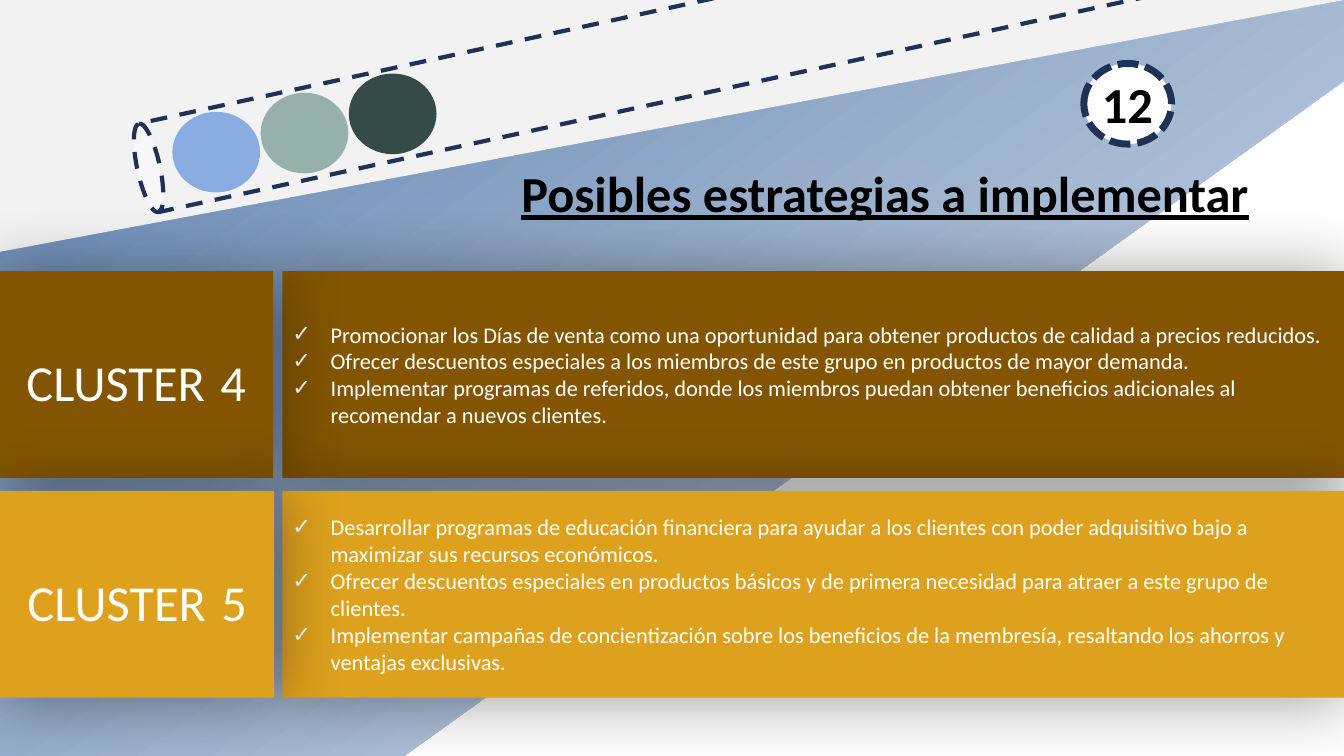
from dataclasses import dataclass

from lxml import etree
from pptx import Presentation
from pptx import util as u
from pptx.dml import color as col
from pptx.enum import dml, shapes, text
from pptx.oxml import ns

HUES = {
    "ink": "1E3256", "pale": "F2F2F2", "white": "FFFFFF", "black": "000000",
    "mist": "F6F8FC", "steel": "5479A9", "sky": "8AADE1", "sage": "96B1AB",
    "pine": "344B47", "brown": "835500", "gold": "DDA11D",
}
FORM = shapes.MSO_SHAPE
DASH = dml.MSO_LINE
LEFT, MID = text.PP_ALIGN.LEFT, text.PP_ALIGN.CENTER


@dataclass
class Box:
    x: float
    y: float
    w: float
    h: float
    turn: float = 0


@dataclass
class Group:
    num: str
    hue: str
    top: float
    edge: float  # left side of the label
    tips: list[str]


GROUPS = [
    Group("4", "brown", 2.69, -0.01, [
        "Promocionar los Días de venta como una oportunidad para obtener productos de calidad a precios reducidos.",
        "Ofrecer descuentos especiales a los miembros de este grupo en productos de mayor demanda.",
        "Implementar programas de referidos, donde los miembros puedan obtener beneficios adicionales "
        "al recomendar a nuevos clientes.",
    ]),
    Group("5", "gold", 4.87, 0, [
        "Desarrollar programas de educación financiera para ayudar a los clientes con poder adquisitivo "
        "bajo a maximizar sus recursos económicos.",
        "Ofrecer descuentos especiales en productos básicos y de primera necesidad para atraer a este "
        "grupo de clientes.",
        "Implementar campañas de concientización sobre los beneficios de la membresía, resaltando los "
        "ahorros y ventajas exclusivas.",
    ]),
]


def rgb(hue: str) -> col.RGBColor:
    return col.RGBColor.from_string(HUES[hue])


def sub(node, tag: str, **att: str):
    return etree.SubElement(node, ns.qn(tag), **att)


def place(item, box: Box) -> None:
    item.left, item.top = u.Inches(box.x), u.Inches(box.y)
    item.width, item.height = u.Inches(box.w), u.Inches(box.h)


def paint(item, hue: str) -> None:
    item.fill.solid()
    item.fill.fore_color.rgb = rgb(hue)


def draw(page, form, box: Box, hue: str, dash=None, wide: float = 0):
    item = page.shapes.add_shape(form, 0, 0, 0, 0)
    place(item, box)
    item.rotation = box.turn
    item.shadow.inherit = False
    paint(item, hue)
    if dash:
        item.line.color.rgb = rgb("ink")
        item.line.width = u.Pt(wide)
        item.line.dash_style = dash
    else:
        item.line.fill.background()
    return item


def blend(item, stops: list[tuple[int, str]]) -> None:
    item.fill.gradient()
    item.fill.gradient_angle = 90
    ramp = item.element.spPr.find(".//" + ns.qn("a:gsLst"))
    for old in list(ramp):
        ramp.remove(old)
    for spot, hue in stops:
        stop = sub(ramp, "a:gs", pos=str(spot * 1000))
        sub(stop, "a:srgbClr", val=HUES[hue])


def shade(item) -> None:
    item.shadow.inherit = False
    root = item.element.spPr.find(ns.qn("a:effectLst"))
    cast = sub(root, "a:outerShdw", blurRad=str(u.Pt(50)), dist=str(u.Pt(3)),
               dir="2700000", algn="tl", rotWithShape="0")
    tint = sub(cast, "a:srgbClr", val=HUES["black"])
    sub(tint, "a:alpha", val="40000")


def write(para, words: str, size: int = 36, hue: str = "white", bold: bool = False,
          line: bool = False, align=LEFT) -> None:
    para.alignment = align
    run = para.add_run()
    run.text = words
    font = run.font
    font.name, font.size = "Calibri", u.Pt(size)
    font.bold, font.underline = bold, line
    font.color.rgb = rgb(hue)


def frame(item, anchor=text.MSO_ANCHOR.MIDDLE, wrap: bool = True):
    body = item.text_frame
    body.word_wrap, body.vertical_anchor = wrap, anchor
    kind = text.MSO_AUTO_SIZE
    body.auto_size = kind.NONE if wrap else kind.SHAPE_TO_FIT_TEXT
    return body


def listing(item, group: Group) -> None:
    place(item, Box(2.8, group.top, 10.54, 2.05))
    paint(item, group.hue)
    shade(item)
    body = frame(item)
    for i, tip in enumerate(group.tips):
        para = body.add_paragraph() if i else body.paragraphs[0]
        para.space_before = u.Pt(0)
        write(para, tip, size=16)
        prop = para._p.get_or_add_pPr()
        prop.set("marL", str(u.Inches(0.38)))
        prop.set("indent", str(u.Inches(-0.38)))
        sub(prop, "a:buChar", char="✓")


def label(page, group: Group) -> None:
    item = draw(page, FORM.RECTANGLE, Box(group.edge, group.top, 2.72, 2.05), group.hue)
    shade(item)
    para = frame(item).paragraphs[0]
    write(para, "CLUSTER", align=MID)
    write(para, " ", size=48, bold=True, align=MID)
    write(para, group.num, align=MID)


def main() -> None:
    deck = Presentation()
    deck.slide_width, deck.slide_height = u.Inches(13.33), u.Inches(7.5)
    page = deck.slides.add_slide(deck.slide_layouts[3])
    title, *lists = page.placeholders
    tree = page.shapes.element

    # Backdrop
    wedge = draw(page, FORM.RIGHT_TRIANGLE, Box(-2.54, -2.54, 16.91, 7.77, 324.3), "steel")
    blend(wedge, [(0, "mist"), (74, "steel"), (83, "steel"), (100, "steel")])
    draw(page, FORM.OVAL, Box(10.75, 0.63, 0.87, 0.8), "white", DASH.SQUARE_DOT, 5)
    draw(page, FORM.RIGHT_TRIANGLE, Box(5.41, -5.42, 2.5, 13.34, 90), "pale")

    # Tube with three balls
    draw(page, FORM.CAN, Box(6.85, -5.68, 0.9, 12.15, 257.7), "pale", DASH.DASH, 3)
    for i, hue in enumerate(("sky", "sage", "pine")):
        draw(page, FORM.OVAL, Box(1.71 + 0.875 * i, 1.11 - 0.19 * i, 0.87, 0.8), hue)

    # Page number
    num = page.shapes.add_textbox(0, 0, 0, 0)
    place(num, Box(10.83, 0.68, 0.71, 0.71))
    body = frame(num, text.MSO_ANCHOR.TOP, wrap=False)
    write(body.paragraphs[0], "12", hue="black", bold=True)

    # Title, brought in front of the backdrop
    tree.append(title.element)
    place(title, Box(5.07, 1.56, 7.49, 0.71))
    body = frame(title, text.MSO_ANCHOR.TOP, wrap=False)
    write(body.paragraphs[0], "Posibles estrategias a implementar", hue="black", bold=True, line=True)

    # Clusters
    for item, group in zip(lists, GROUPS):
        tree.append(item.element)
        listing(item, group)
        label(page, group)

    deck.save("out.pptx")


if __name__ == "__main__":
    main()
